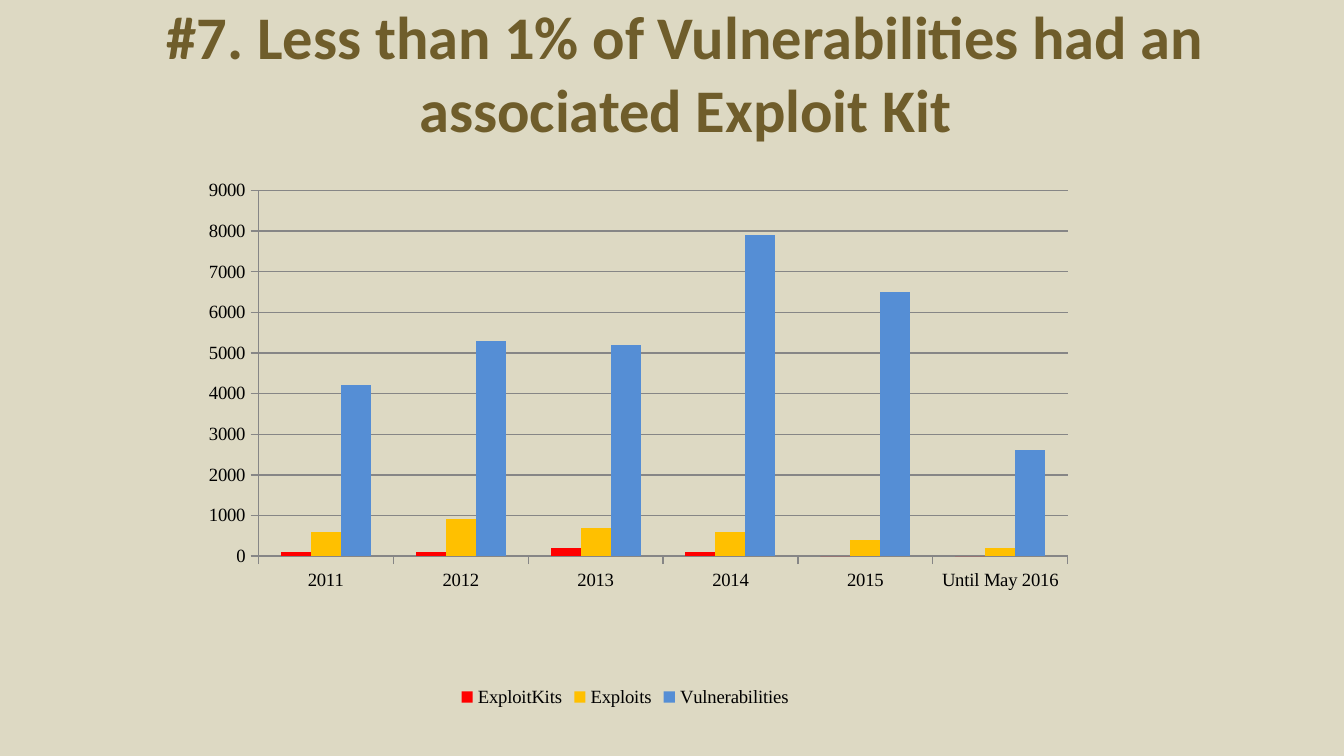
from lxml import etree
from pptx import Presentation
from pptx import util as u
from pptx.chart.data import CategoryChartData
from pptx.dml.color import RGBColor
from pptx.enum import chart as ch, text
from pptx.oxml.ns import qn

PX = 914400 / 134.4
COLORS = {
    "background": "DDD9C3", "title": "6F5D2B", "text": "000000", "grid": "868686",
    "ExploitKits": "FF0000", "Exploits": "FFC000", "Vulnerabilities": "558ED5",
}
YEARS = ["2011", "2012", "2013", "2014", "2015", "Until May 2016"]
COUNTS = {
    "ExploitKits": [100, 100, 200, 100, 0, 0],
    "Exploits": [600, 900, 700, 600, 400, 200],
    "Vulnerabilities": [4200, 5300, 5200, 7900, 6500, 2600],
}


def px(n):
    return u.Emu(round(n * PX))


def rgb(name):
    return RGBColor.from_string(COLORS[name])


class Deck:
    def __init__(self, width, height):
        self.prs = Presentation()
        self.prs.slide_width, self.prs.slide_height = px(width), px(height)

    def add_slide(self):
        self.s = self.prs.slides.add_slide(self.prs.slide_layouts[5])
        fill = self.s.background.fill
        fill.solid()
        fill.fore_color.rgb = rgb("background")

    def title(self, words, x, y, w, h):
        sp = self.s.shapes.title
        sp.left, sp.top, sp.width, sp.height = px(x), px(y), px(w), px(h)
        tf = sp.text_frame
        tf.text = words
        tf.word_wrap = True
        tf.auto_size = text.MSO_AUTO_SIZE.NONE
        tf.vertical_anchor = text.MSO_ANCHOR.MIDDLE
        p = tf.paragraphs[0]
        p.alignment = text.PP_ALIGN.CENTER
        font = p.runs[0].font
        font.name, font.size, font.bold = "Calibri", u.Pt(32.4), True
        font.color.rgb = rgb("title")

    def columns(self, categories, series, x, y, w, h, plot):
        data = CategoryChartData()
        data.categories = categories
        for name, values in series.items():
            data.add_series(name, values)
        chart = self.s.shapes.add_chart(
            ch.XL_CHART_TYPE.COLUMN_CLUSTERED, px(x), px(y), px(w), px(h), data).chart
        chart.has_title = False
        chart.font.name, chart.font.size = "Times New Roman", u.Pt(10)
        chart.font.color.rgb = rgb("text")

        # Series
        bars = chart.plots[0]
        bars.gap_width, bars.overlap, bars.vary_by_categories = 150, 0, False
        for ser in bars.series:
            ser.format.fill.solid()
            ser.format.fill.fore_color.rgb = rgb(ser.name)

        # Axes and gridlines
        axis = chart.value_axis
        axis.minimum_scale, axis.maximum_scale, axis.major_unit = 0, 9000, 1000
        axis.has_major_gridlines = True
        for part in (axis, chart.category_axis, axis.major_gridlines):
            part.format.line.color.rgb = rgb("grid")
            part.format.line.width = u.Pt(0.75)
        for part in (axis, chart.category_axis):
            part.major_tick_mark = ch.XL_TICK_MARK.OUTSIDE

        # Legend
        chart.has_legend = True
        chart.legend.position = ch.XL_LEGEND_POSITION.BOTTOM
        chart.legend.include_in_layout = False
        self.place_plot(chart, plot)

    def place_plot(self, chart, plot):
        area = chart.element.find(".//" + qn("c:plotArea"))
        for old in area.findall(qn("c:layout")):
            area.remove(old)
        layout = etree.Element(qn("c:layout"))
        manual = etree.SubElement(layout, qn("c:manualLayout"))
        settings = [("layoutTarget", "inner"), ("xMode", "edge"), ("yMode", "edge")]
        for tag, value in settings + list(zip("xywh", plot)):
            etree.SubElement(manual, qn("c:" + tag)).set("val", str(value))
        area.insert(0, layout)


def main():
    deck = Deck(1344, 756)
    deck.add_slide()
    deck.title("#7. Less than 1% of Vulnerabilities had an associated Exploit Kit",
               27, 9, 1317, 126)
    deck.columns(YEARS, COUNTS, 160, 163, 930, 550, plot=(0.106, 0.05, 0.87, 0.665))
    deck.prs.save("out.pptx")


if __name__ == "__main__":
    main()
